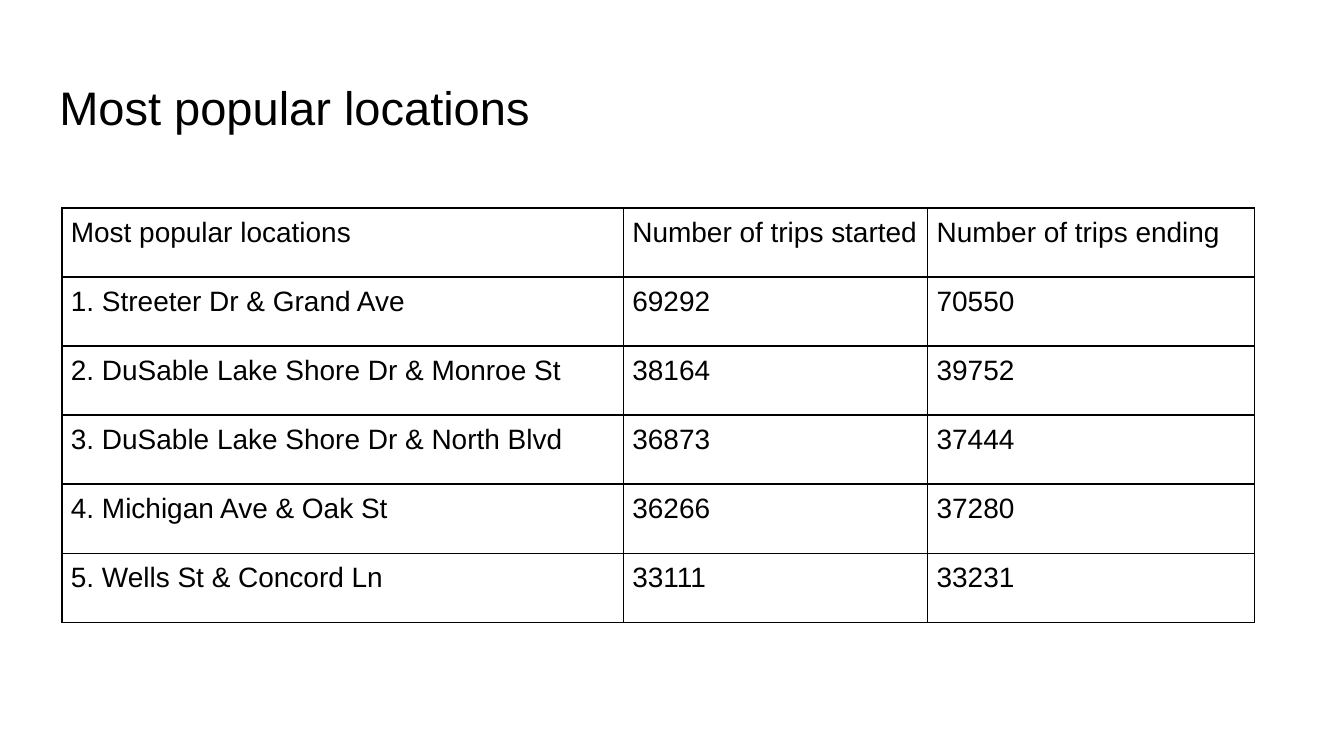
from lxml.etree import SubElement
from pptx import Presentation
from pptx.dml.color import RGBColor
from pptx.enum.text import MSO_ANCHOR, PP_ALIGN
from pptx.oxml.ns import qn
from pptx.util import Cm, Pt

COLORS = {"ink": "000000", "paper": "FFFFFF"}
FONT = "Arial"
TITLE = "Most popular locations"
COLUMN_WIDTHS = (10.61, 5.75, 6.18)
ROWS = (
    ("Most popular locations", "Number of trips started", "Number of trips ending"),
    ("1. Streeter Dr & Grand Ave", "69292", "70550"),
    ("2. DuSable Lake Shore Dr & Monroe St", "38164", "39752"),
    ("3. DuSable Lake Shore Dr & North Blvd", "36873", "37444"),
    ("4. Michigan Ave & Oak St", "36266", "37280"),
    ("5. Wells St & Concord Ln", "33111", "33231"),
)


def set_all(target, values):
    for name, value in values.items():
        setattr(target, name, value)


def write_text(frame, text, size):
    para = frame.paragraphs[0]
    para.alignment = PP_ALIGN.LEFT
    span = para.add_run()
    span.text = text
    set_all(span.font, {"name": FONT, "size": Pt(size), "bold": False})
    span.font.color.rgb = RGBColor.from_string(COLORS["ink"])


def margins(length):
    return {f"margin_{side}": Cm(length) for side in ("left", "top", "right", "bottom")}


def add_borders(cell, width):
    properties = cell._tc.get_or_add_tcPr()
    for side in ("a:lnL", "a:lnR", "a:lnT", "a:lnB"):
        line = SubElement(properties, qn(side), w=str(Pt(width)))
        fill = SubElement(line, qn("a:solidFill"))
        SubElement(fill, qn("a:srgbClr"), val=COLORS["ink"])


def place_title(page, left, top, width, height):
    title = page.shapes.title
    set_all(title, {"left": Cm(left), "top": Cm(top), "width": Cm(width), "height": Cm(height)})
    frame = title.text_frame
    set_all(frame, {"word_wrap": True, "vertical_anchor": MSO_ANCHOR.TOP, **margins(0.25)})
    write_text(frame, TITLE, 25.2)


def place_locations_table(page, left, top, width, height):
    table = page.shapes.add_table(
        len(ROWS), len(COLUMN_WIDTHS), Cm(left), Cm(top), Cm(width), Cm(height)
    ).table
    set_all(table, {"first_row": False, "horz_banding": False})
    for column, column_width in zip(table.columns, COLUMN_WIDTHS):
        column.width = Cm(column_width)
    for row, texts in zip(table.rows, ROWS):
        row.height = Cm(height / len(ROWS))
        for cell, text in zip(row.cells, texts):
            set_all(cell, {"vertical_anchor": MSO_ANCHOR.TOP, **margins(0.17)})
            add_borders(cell, 1)
            cell.fill.solid()
            cell.fill.fore_color.rgb = RGBColor.from_string(COLORS["paper"])
            write_text(cell.text_frame, text, 15)


def main():
    deck = Presentation()
    set_all(deck, {"slide_width": Cm(25.4), "slide_height": Cm(14.29)})
    page = deck.slides.add_slide(deck.slide_layouts[5])
    place_title(page, 0.87, 1.24, 23.67, 1.6)
    place_locations_table(page, 1.17, 3.93, sum(COLUMN_WIDTHS), 7.84)
    deck.save("out.pptx")


if __name__ == "__main__":
    main()
